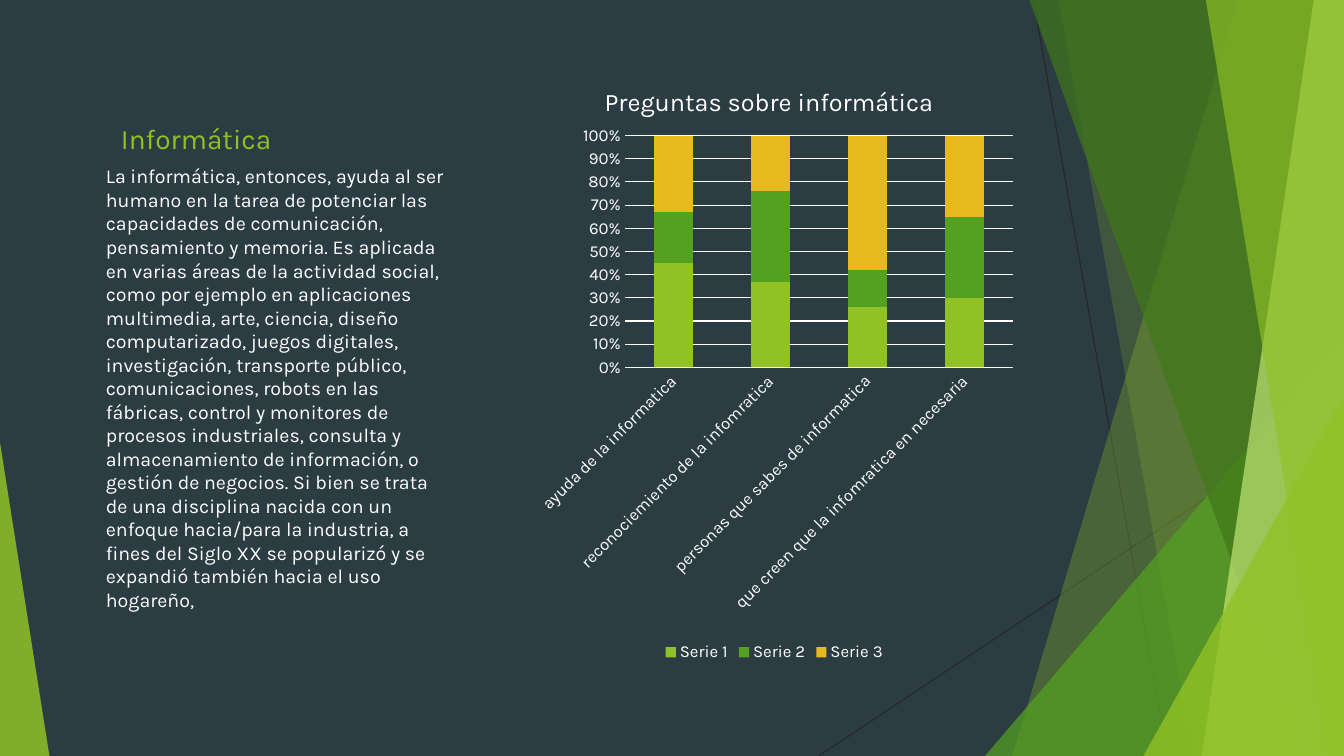
from lxml.etree import SubElement
from pptx import Presentation
from pptx.chart.data import CategoryChartData
from pptx.dml.color import RGBColor
from pptx.enum.chart import XL_CHART_TYPE, XL_LEGEND_POSITION, XL_TICK_MARK
from pptx.enum.shapes import MSO_CONNECTOR, MSO_SHAPE
from pptx.enum.text import MSO_ANCHOR, MSO_AUTO_SIZE, PP_ALIGN
from pptx.oxml import parse_xml
from pptx.oxml.ns import nsdecls, qn
from pptx.util import Pt

PX = 9144  # 100 px to the inch
WIDTH, HEIGHT = 1333, 750
FONT = "Karla"
COLORS = {
    "night": "2C3C43", "white": "FFFFFF", "thread": "262626", "lime": "90C226",
    "green": "54A021", "forest": "3F7819", "pale": "C0E474", "gold": "E6B91E",
}
INFORMATICA = (
    "La informática, entonces, ayuda al ser humano en la tarea de potenciar las "
    "capacidades de comunicación, pensamiento y memoria. Es aplicada en varias áreas "
    "de la actividad social, como por ejemplo en aplicaciones multimedia, arte, "
    "ciencia, diseño computarizado, juegos digitales, investigación, transporte "
    "público, comunicaciones, robots en las fábricas, control y monitores de procesos "
    "industriales, consulta y almacenamiento de información, o gestión de negocios. "
    "Si bien se trata de una disciplina nacida con un enfoque hacia/para la industria, "
    "a fines del Siglo XX se popularizó y se expandió también hacia el uso hogareño,"
)
QUESTIONS = [
    "ayuda de la informatica", "reconociemiento de la infomratica",
    "personas que sabes de informatica", "que creen que la infomratica en necesaria",
]
SERIES = [
    ("Serie 1", (45, 37, 26, 30), "lime"),
    ("Serie 2", (22, 39, 16, 35), "green"),
    ("Serie 3", (33, 24, 58, 35), "gold"),
]


def rgb(name):
    return RGBColor.from_string(COLORS[name])


def emu(*lengths):
    return [length * PX for length in lengths]


def style_font(font, size, color="white"):
    font.name, font.size, font.bold = FONT, Pt(size), False
    font.color.rgb = rgb(color)


def paint(shape, color, opacity):
    shape.shadow.inherit = False
    shape.fill.solid()
    shape.fill.fore_color.rgb = rgb(color)
    shape.line.fill.background()
    fill_color = shape.fill._xPr.find(qn("a:solidFill"))[0]
    SubElement(fill_color, qn("a:alpha"), val=str(opacity * 1000))


def add_facets(slide, box):
    """Crossing threads and translucent panes that decorate both edges."""
    left, top, width, height = box
    right, bottom = left + width, top + height
    shapes = slide.shapes

    def thread(*ends):
        line = shapes.add_connector(MSO_CONNECTOR.STRAIGHT, *emu(*ends))
        line.line.color.rgb = rgb("thread")
        line.line.width = Pt(0.75)
        SubElement(line._element.spPr, qn("a:effectLst"))

    def pane(top_x, bottom_x, color, opacity):
        outline = shapes.build_freeform(left + top_x, top, scale=PX)
        outline.add_line_segments(
            [(right, top), (right, bottom), (left + bottom_x, bottom)])
        paint(outline.convert_to_shape(), color, opacity)

    def corner(x, wide, high, apex, color, opacity):
        triangle = shapes.add_shape(
            MSO_SHAPE.ISOSCELES_TRIANGLE, *emu(left + x, bottom - high, wide, high))
        triangle.adjustments[0] = apex
        paint(triangle, color, opacity)

    thread(left + 1025, top, left + 1158, bottom)
    thread(right, top + 403, left + 812, bottom)
    pane(1228, 1004, "lime", 30)
    pane(1050, 1183, "lime", 20)
    corner(977, 356, 417, 1, "green", 72)
    pane(1021, 1291, "forest", 70)
    pane(1303, 1192, "pale", 70)
    pane(1196, 1318, "lime", 65)
    corner(1134, 199, 357, 1, "lime", 80)
    corner(0, 49, 311, 0, "lime", 85)


def fill_placeholder(holder, box, text, size, color, anchor):
    holder.left, holder.top, holder.width, holder.height = emu(*box)
    frame = holder.text_frame
    frame.word_wrap, frame.auto_size = True, MSO_AUTO_SIZE.NONE
    frame.vertical_anchor = anchor
    paragraph = frame.paragraphs[0]
    paragraph.alignment = PP_ALIGN.LEFT
    run = paragraph.add_run()
    run.text = text
    style_font(run.font, size, color)
    return paragraph


def add_explanation(slide, box):
    """Heading and paragraph of the left column."""
    left, top, width, height = box
    fill_placeholder(slide.shapes.title, (left + 15, top, 305, 65),
                     "Informática", 20, "lime", MSO_ANCHOR.BOTTOM)
    body = fill_placeholder(slide.placeholders[1], (left, top + 64, width, height - 64),
                            INFORMATICA, 14, "white", MSO_ANCHOR.TOP)
    body.space_before = Pt(10)
    properties = body._p.get_or_add_pPr()
    properties.set("marL", "0")
    properties.set("indent", "0")
    SubElement(properties, qn("a:buNone"))


def manual_layout(inner="", **places):
    values = "".join(f'<c:{key} val="{value}"/>' for key, value in places.items())
    return parse_xml(f'<c:layout {nsdecls("c")}><c:manualLayout>{inner}'
                     '<c:xMode val="edge"/><c:yMode val="edge"/>'
                     f'{values}</c:manualLayout></c:layout>')


def add_survey_chart(slide, box):
    """Survey answers as full-height stacked columns."""
    data = CategoryChartData()
    data.categories = QUESTIONS
    for name, values, _ in SERIES:
        data.add_series(name, values)
    chart = slide.shapes.add_chart(
        XL_CHART_TYPE.COLUMN_STACKED_100, *emu(*box), data).chart
    style_font(chart.font, 12)

    # Title
    chart.has_title = True
    heading = chart.chart_title.text_frame.paragraphs[0].add_run()
    heading.text = "Preguntas sobre informática"
    style_font(heading.font, 18)
    title = chart.chart_title._element
    for layout in title.findall(qn("c:layout")):
        title.remove(layout)
    title.find(qn("c:tx")).addnext(manual_layout(x=0.15, y=0.04))
    chart.chart_title.include_in_layout = False

    # Columns
    plot = chart.plots[0]
    plot.gap_width, plot.overlap, plot.vary_by_categories = 150, 100, False
    for series, (_, _, color) in zip(plot.series, SERIES):
        series.format.fill.solid()
        series.format.fill.fore_color.rgb = rgb(color)
    area = chart._chartSpace.chart.plotArea
    for layout in area.findall(qn("c:layout")):
        area.remove(layout)
    area.insert(0, manual_layout('<c:layoutTarget val="inner"/>',
                                 x=0.2, y=0.13, w=0.78, h=0.38))

    # Axes
    questions, share = chart.category_axis, chart.value_axis
    for axis in (questions, share):
        axis.major_tick_mark = axis.minor_tick_mark = XL_TICK_MARK.NONE
        style_font(axis.tick_labels.font, 12)
    share.has_major_gridlines = True
    for line in (questions.format.line, share.major_gridlines.format.line):
        line.color.rgb = rgb("white")
        line.width = Pt(0.75)
    share.format.line.fill.background()
    share.tick_labels.number_format = "0%"
    share.tick_labels.number_format_is_linked = False
    label_body = questions._element.find(qn("c:txPr")).find(qn("a:bodyPr"))
    label_body.set("rot", "-2700000")

    # Legend
    chart.has_legend = True
    chart.legend.position = XL_LEGEND_POSITION.BOTTOM
    chart.legend.include_in_layout = False
    style_font(chart.legend.font, 12)


def main():
    deck = Presentation()
    deck.slide_width, deck.slide_height = emu(WIDTH, HEIGHT)
    slide = deck.slides.add_slide(deck.slide_layouts[1])
    slide.background.fill.solid()
    slide.background.fill.fore_color.rgb = rgb("night")
    add_facets(slide, (0, 0, WIDTH, HEIGHT))
    add_explanation(slide, (95, 94, 365, 550))
    add_survey_chart(slide, (521, 56, 494, 605))
    deck.save("out.pptx")


if __name__ == "__main__":
    main()
